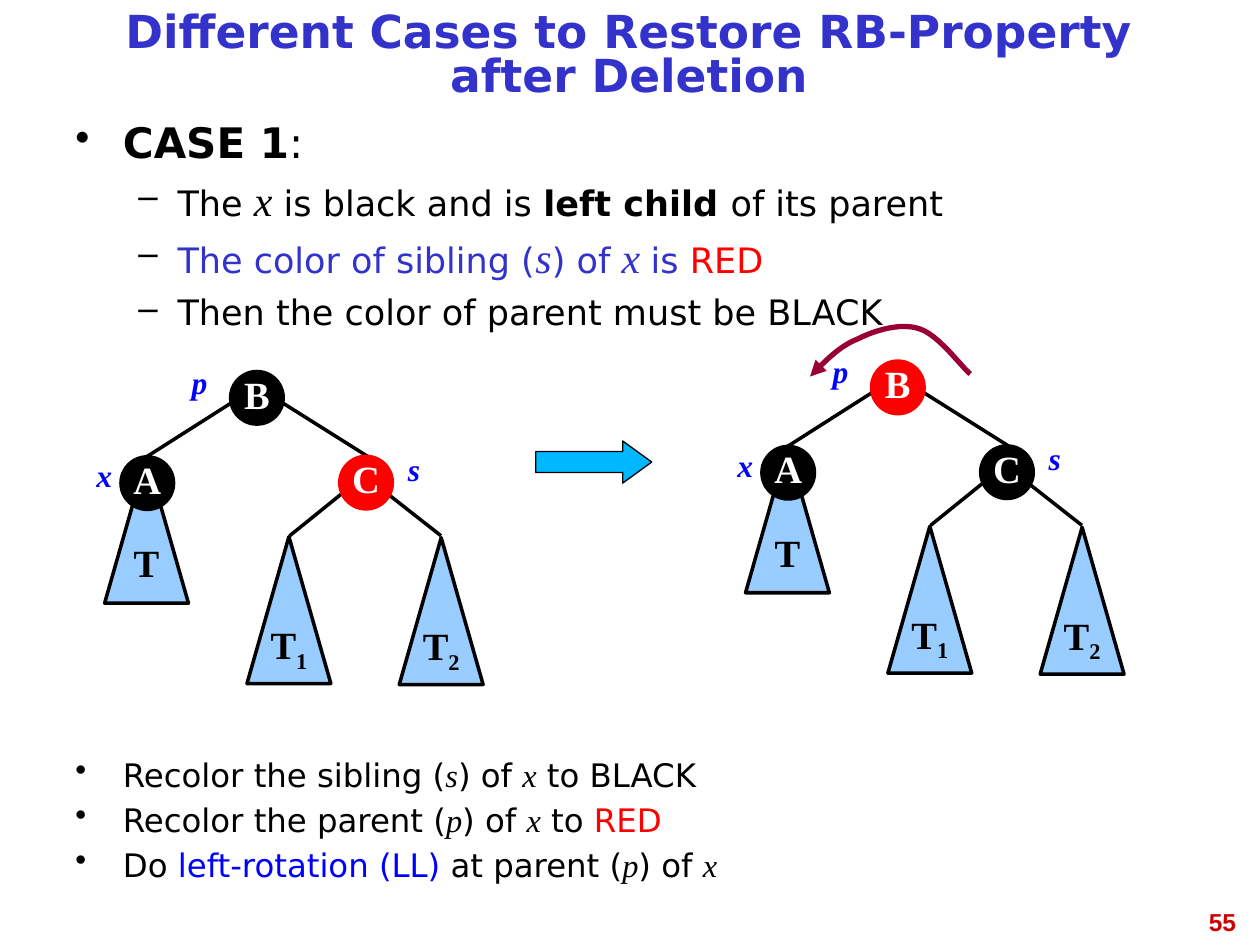
from lxml.etree import SubElement
from pptx import Presentation
from pptx.dml.color import RGBColor
from pptx.enum.shapes import MSO_CONNECTOR, MSO_SHAPE
from pptx.enum.text import MSO_ANCHOR, PP_ALIGN
from pptx.oxml.ns import qn
from pptx.util import Cm, Pt

COLORS = {
    "black": "000000", "white": "FFFFFF", "red": "FF0000", "blue": "0000FF",
    "title": "3333CC", "subtree": "99CCFF", "arrow": "00B8FF",
    "rotation": "990033", "number": "CC0000",
}
SANS, SERIF = "DejaVu Sans", "Times New Roman"
NODE_SIZE = 1.06
SUBTREE_WIDTH, SUBTREE_HEIGHT = 1.69, 2.96


def rgb(name):
    return RGBColor.from_string(COLORS[name])


def add_span(para, text, font=SANS, size=20, color="black", bold=False,
             italic=False, baseline=None):
    span = para.add_run()
    span.text = text
    span.font.name, span.font.size = font, Pt(size)
    span.font.bold, span.font.italic = bold, italic
    span.font.color.rgb = rgb(color)
    if baseline:
        span._r.get_or_add_rPr().set("baseline", str(baseline * 1000))


def add_bullet(para, mark, margin, hanging):
    properties = para._p.get_or_add_pPr()
    properties.set("marL", str(Cm(margin)))
    properties.set("indent", str(-Cm(hanging)))
    color = SubElement(properties, qn("a:buClr"))
    SubElement(color, qn("a:srgbClr")).set("val", COLORS["black"])
    SubElement(properties, qn("a:buChar")).set("char", mark)


def write(para, spans, align=PP_ALIGN.CENTER, spacing=None, before=None,
          bullet=None, **style):
    """Fill a paragraph with strings or (string, format changes) pairs."""
    if bullet:
        add_bullet(para, *bullet)
    para.alignment = align
    if spacing:
        para.line_spacing = spacing
    if before:
        para.space_before = Pt(before)
    for span in spans:
        text, changes = (span, {}) if isinstance(span, str) else span
        add_span(para, text, **{**style, **changes})


def add_text(page, left, top, width, height, spans, anchor=MSO_ANCHOR.TOP, **style):
    box = page.shapes.add_textbox(Cm(left), Cm(top), Cm(width), Cm(height))
    box.text_frame.word_wrap = True
    box.text_frame.vertical_anchor = anchor
    write(box.text_frame.paragraphs[0], spans, **style)
    return box


def add_shape(page, kind, left, top, width, height, fill, line="black", weight=2):
    shape = page.shapes.add_shape(kind, Cm(left), Cm(top), Cm(width), Cm(height))
    shape.shadow.inherit = False
    shape.fill.solid()
    shape.fill.fore_color.rgb = rgb(fill)
    shape.line.color.rgb = rgb(line)
    shape.line.width = Pt(weight)
    return shape


def add_labelled(page, kind, box, fill, line, spans, color):
    shape = add_shape(page, kind, *box, fill, line)
    shape.text_frame.word_wrap = False
    shape.text_frame.vertical_anchor = MSO_ANCHOR.MIDDLE
    write(shape.text_frame.paragraphs[0], spans, spacing=0.81, font=SERIF,
          size=22, bold=True, color=color)


def add_edge(page, x1, y1, x2, y2):
    edge = page.shapes.add_connector(
        MSO_CONNECTOR.STRAIGHT, Cm(x1), Cm(y1), Cm(x2), Cm(y2))
    edge.line.color.rgb = rgb("black")
    edge.line.width = Pt(2)
    SubElement(edge._element.spPr, qn("a:effectLst"))


def add_tree(page, left, top, parent_color, sibling_color):
    for x1, y1, x2, y2 in ((4.24, 0.94, 5.94, 2.01), (1.5, 2.01, 3.18, 0.94),
                           (4.37, 3.61, 5.41, 2.77), (7.42, 3.61, 6.35, 2.77)):
        add_edge(page, left + x1, top + y1, left + x2, top + y2)
    for x, y, index in ((0.64, 2.01, ""), (3.51, 3.63, "1"), (6.58, 3.65, "2")):
        spans = ["T"] + ([(index, {"baseline": -25})] if index else [])
        add_labelled(page, MSO_SHAPE.ISOSCELES_TRIANGLE,
                     (left + x, top + y, SUBTREE_WIDTH, SUBTREE_HEIGHT),
                     "subtree", "black", spans, "black")
    for name, x, y, color in (("B", 3.18, 0.3, parent_color),
                              ("A", 0.97, 2.02, "black"),
                              ("C", 5.38, 2.01, sibling_color)):
        add_labelled(page, MSO_SHAPE.OVAL, (left + x, top + y, NODE_SIZE, NODE_SIZE),
                     color, color, [name], "white")
    for name, x, y, width in (("p", 1.5, 0, 2.11), ("s", 6.14, 1.75, 1.47),
                              ("x", 0, 1.88, 1.27)):
        add_text(page, left + x, top + y, width, 1.02, [name], font=SERIF,
                 size=18, color="blue", bold=True, italic=True)


def curve_points(start, pieces, steps=12):
    """Points along a chain of cubic Bezier pieces."""
    points = [start]
    for first, second, end in pieces:
        begin = points[-1]
        for step in range(1, steps + 1):
            t = step / steps
            u = 1 - t
            points.append(tuple(
                u**3 * a + 3 * u * u * t * b + 3 * u * t * t * c + t**3 * d
                for a, b, c, d in zip(begin, first, second, end)))
    return points


def add_rotation_arrow(page, left, top):
    points = curve_points((0, 1.09), [
        ((0.3, 0.79), (0.58, 0.48), (0.97, 0.33)),
        ((1.32, 0.15), (1.85, 0), (2.21, 0.13)),
        ((2.59, 0.25), (3.05, 0.89), (3.23, 1.04)),
    ])
    corners = [(Cm(left + x), Cm(top + y)) for x, y in points]
    builder = page.shapes.build_freeform(*corners[0])
    builder.add_line_segments(corners[1:], close=False)
    arrow = builder.convert_to_shape()
    arrow.shadow.inherit = False
    arrow.fill.background()
    arrow.line.color.rgb = rgb("rotation")
    arrow.line.width = Pt(3)
    SubElement(arrow.line._get_or_add_ln(), qn("a:headEnd")).set("type", "triangle")


def add_list(page, left, top, width, height, items):
    """Add a bulleted box; each item is its spans and its paragraph format."""
    spans, style = items[0]
    box = add_text(page, left, top, width, height, spans,
                   align=PP_ALIGN.JUSTIFY, **{**style, "before": None})
    for spans, style in items[1:]:
        write(box.text_frame.add_paragraph(), spans, align=PP_ALIGN.JUSTIFY, **style)


def variable(name, **changes):
    return name, {"font": SERIF, "italic": True, **changes}


def add_case(page, left, top, width, height):
    heading = dict(size=24, bold=True, spacing=0.9, bullet=("•", 0.96, 0.96))
    detail = dict(size=20, spacing=0.9, before=7, bullet=("–", 2.06, 0.79))
    add_list(page, left, top, width, height, [
        (["CASE 1", (":", {"bold": False})], heading),
        (["The ", variable("x", size=24), " is black and is ",
          ("left child ", {"bold": True}), "of its parent"], detail),
        (["The color of sibling (", variable("s", size=24), ") of ",
          variable("x ", size=24), "is ", ("RED", {"color": "red"})],
         {**detail, "color": "title"}),
        (["Then the color of parent must be BLACK"], detail),
    ])


def add_steps(page, left, top, width, height):
    step = dict(size=18.5, spacing=0.8, before=8, bullet=("•", 0.96, 0.96))
    add_list(page, left, top, width, height, [
        (["Recolor the sibling (", variable("s"), ") of ", variable("x"),
          " to BLACK"], step),
        (["Recolor the parent (", variable("p"), ") of ", variable("x"), " to ",
          ("RED", {"color": "red"})], step),
        (["Do ", ("left-rotation (LL)", {"color": "blue"}), " at parent (",
          variable("p"), ") of ", variable("x")], step),
    ])


def main():
    deck = Presentation()
    deck.slide_width, deck.slide_height = Cm(25.4), Cm(19.05)
    page = deck.slides.add_slide(deck.slide_layouts[6])
    add_text(page, 19.25, 18.16, 5.92, 1.32, ["55"], align=PP_ALIGN.RIGHT,
             font="Arial", size=14, bold=True, color="number")
    add_text(page, 1.27, 0.2, 22.83, 1.9,
             ["Different Cases to Restore RB-Property after Deletion"],
             anchor=MSO_ANCHOR.MIDDLE, spacing=0.81, size=26, bold=True, color="title")
    add_case(page, 1.27, 2.34, 22.83, 4.88)
    add_tree(page, 1.47, 7.19, "black", "red")
    add_steps(page, 1.27, 15.24, 22.83, 3.18)
    arrow = add_shape(page, MSO_SHAPE.RIGHT_ARROW, 10.8, 8.89, 2.34, 0.85,
                      "arrow", weight=0.75)
    arrow.adjustments[1] = 0.69
    add_tree(page, 14.39, 6.98, "red", "black")
    add_rotation_arrow(page, 16.33, 6.5)
    deck.save("out.pptx")


if __name__ == "__main__":
    main()
